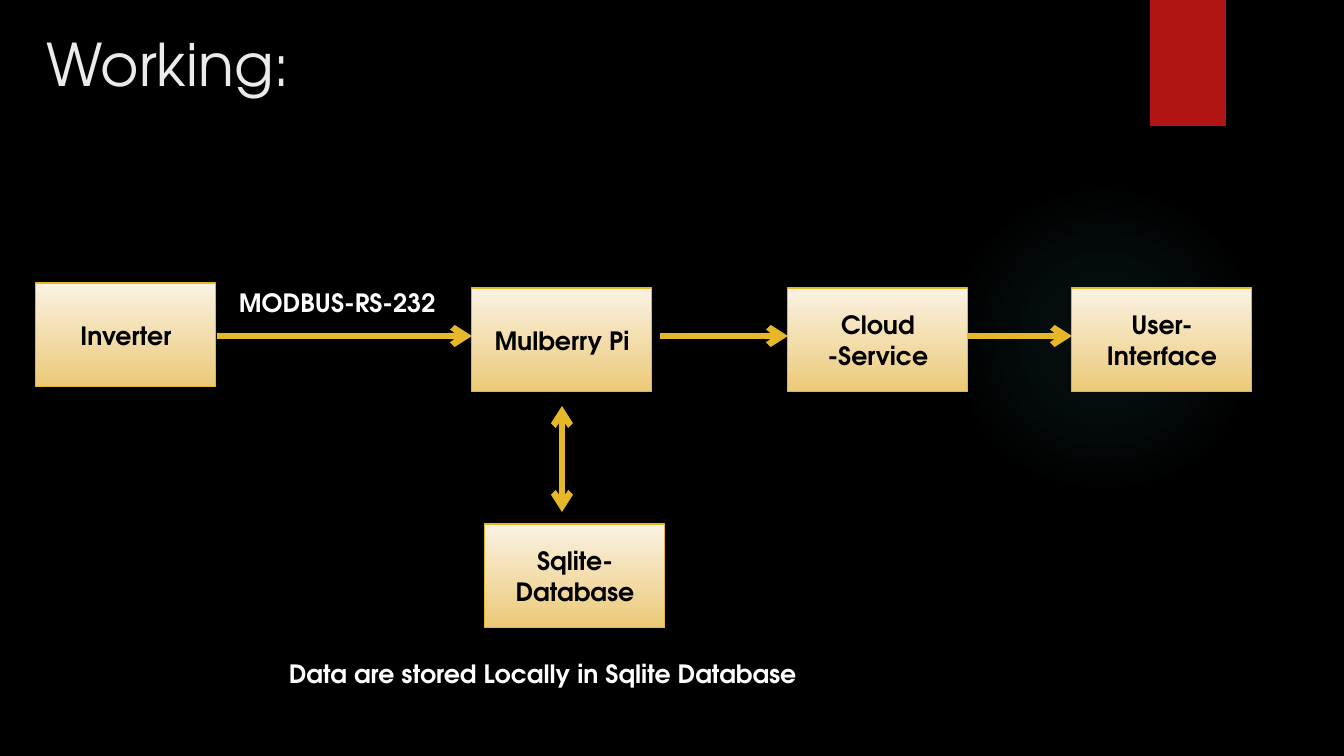
from dataclasses import dataclass

from lxml import etree
from pptx import Presentation
from pptx import util as u
from pptx.dml.color import RGBColor
from pptx.enum import shapes, text
from pptx.oxml import ns, parse_xml

EMU_PER_PX = 914400 / 100.8


@dataclass(frozen=True)
class Theme:
    font: str = "TeX Gyre Adventor"
    background: str = "000000"
    title: str = "EBEBEB"
    ribbon: str = "B01513"
    glow: str = "50B9C1"
    box_top: str = "FAF2E3"
    box_bottom: str = "ECC977"
    gold: str = "E6B729"
    box_text: str = "000000"
    label_text: str = "FFFFFF"
    title_size: int = 42
    body_size: int = 18
    box_line: float = 0.75
    arrow_line: float = 4.5


@dataclass(frozen=True)
class Box:
    name: str
    left: int
    top: int


@dataclass(frozen=True)
class Arrow:
    start: tuple[int, int]
    end: tuple[int, int]
    both_ways: bool = False


@dataclass(frozen=True)
class Label:
    words: str
    left: int
    top: int
    width: int


THEME = Theme()
BOX_WIDTH, BOX_HEIGHT = 180, 104
LABEL_HEIGHT = 40
ROW_TOP, FLOW_Y, STORE_X = 288, 336, 562

BOXES = [
    Box("Inverter", 36, 283),
    Box("Mulberry Pi", 472, ROW_TOP),
    Box("Cloud -Service", 788, ROW_TOP),
    Box("Sqlite-Database", 485, 524),
    Box("User-Interface", 1072, ROW_TOP),
]
ARROWS = [
    Arrow((217, FLOW_Y), (472, FLOW_Y)),
    Arrow((660, FLOW_Y), (788, FLOW_Y)),
    Arrow((967, FLOW_Y), (1072, FLOW_Y)),
    Arrow((STORE_X, 406), (STORE_X, 512), both_ways=True),
]
LABELS = [
    Label("Data are stored Locally in Sqlite Database", 279, 653, 549),
    Label("MODBUS-RS-232", 229, 282, 223),
]


def px(length: int) -> u.Emu:
    return u.Emu(round(length * EMU_PER_PX))


def color(value: str) -> RGBColor:
    return RGBColor.from_string(value)


def write(shape, words: str, size: int, ink: str, bold: bool) -> None:
    shape.text_frame.text = words
    shape.text_frame.word_wrap = True
    for run in shape.text_frame.paragraphs[0].runs:
        run.font.name = THEME.font
        run.font.size = u.Pt(size)
        run.font.bold = bold
        run.font.color.rgb = color(ink)


def add_plain(slide, kind, left: int, top: int, width: int, height: int):
    shape = slide.shapes.add_shape(kind, px(left), px(top), px(width), px(height))
    shape.shadow.inherit = False
    shape.line.fill.background()
    return shape


def add_glow(slide) -> None:
    shape = add_plain(slide, shapes.MSO_SHAPE.OVAL, 949, 184, 310, 310)
    shape.fill.background()
    stops = "".join(
        f'<a:gs pos="{position}000"><a:srgbClr val="{THEME.glow}">'
        f'<a:alpha val="{alpha}000"/></a:srgbClr></a:gs>'
        for position, alpha in ((0, 7), (36, 6), (69, 0), (100, 0))
    )
    gradient = parse_xml(
        f'<a:gradFill {ns.nsdecls("a")} rotWithShape="1"><a:gsLst>{stops}</a:gsLst>'
        '<a:path path="circle">'
        '<a:fillToRect l="50000" t="50000" r="50000" b="50000"/></a:path></a:gradFill>'
    )
    properties = shape._element.spPr
    properties.replace(properties.find(ns.qn("a:noFill")), gradient)


def add_ribbon(slide) -> None:
    shape = add_plain(slide, shapes.MSO_SHAPE.RECTANGLE, 1150, 0, 76, 126)
    shape.fill.solid()
    shape.fill.fore_color.rgb = color(THEME.ribbon)


def add_title(slide, words: str) -> None:
    title = slide.shapes.title
    title.left, title.top, title.width, title.height = map(px, (36, 23, 1037, 154))
    write(title, words, THEME.title_size, THEME.title, bold=False)
    title.text_frame.auto_size = text.MSO_AUTO_SIZE.NONE
    title.text_frame.vertical_anchor = text.MSO_ANCHOR.TOP
    title.text_frame.paragraphs[0].alignment = text.PP_ALIGN.LEFT


def add_box(slide, box: Box) -> None:
    shape = add_plain(
        slide, shapes.MSO_SHAPE.RECTANGLE, box.left, box.top, BOX_WIDTH, BOX_HEIGHT
    )
    shape.fill.gradient()
    shape.fill.gradient_angle = 270
    for stop, shade in zip(shape.fill.gradient_stops, (THEME.box_top, THEME.box_bottom)):
        stop.color.rgb = color(shade)
    shape.line.color.rgb = color(THEME.gold)
    shape.line.width = u.Pt(THEME.box_line)
    write(shape, box.name, THEME.body_size, THEME.box_text, bold=True)
    shape.text_frame.vertical_anchor = text.MSO_ANCHOR.MIDDLE
    shape.text_frame.paragraphs[0].alignment = text.PP_ALIGN.CENTER


def add_arrow(slide, arrow: Arrow) -> None:
    connector = slide.shapes.add_connector(
        shapes.MSO_CONNECTOR.STRAIGHT, *map(px, arrow.start + arrow.end)
    )
    connector.line.color.rgb = color(THEME.gold)
    connector.line.width = u.Pt(THEME.arrow_line)
    properties = connector._element.spPr
    line = properties.find(ns.qn("a:ln"))
    for end in ("headEnd", "tailEnd") if arrow.both_ways else ("tailEnd",):
        etree.SubElement(line, ns.qn(f"a:{end}"), type="arrow")
    etree.SubElement(properties, ns.qn("a:effectLst"))


def add_label(slide, label: Label) -> None:
    shape = slide.shapes.add_textbox(
        px(label.left), px(label.top), px(label.width), px(LABEL_HEIGHT)
    )
    write(shape, label.words, THEME.body_size, THEME.label_text, bold=True)
    shape.text_frame.auto_size = text.MSO_AUTO_SIZE.SHAPE_TO_FIT_TEXT


def main() -> None:
    presentation = Presentation()
    presentation.slide_width, presentation.slide_height = px(1344), px(756)
    slide = presentation.slides.add_slide(presentation.slide_layouts[5])

    # Backdrop
    slide.background.fill.solid()
    slide.background.fill.fore_color.rgb = color(THEME.background)
    add_glow(slide)
    add_ribbon(slide)

    # Title
    add_title(slide, "Working:")

    # Data flow
    for box in BOXES:
        add_box(slide, box)
    for arrow in ARROWS:
        add_arrow(slide, arrow)
    for label in LABELS:
        add_label(slide, label)

    presentation.save("out.pptx")


if __name__ == "__main__":
    main()
